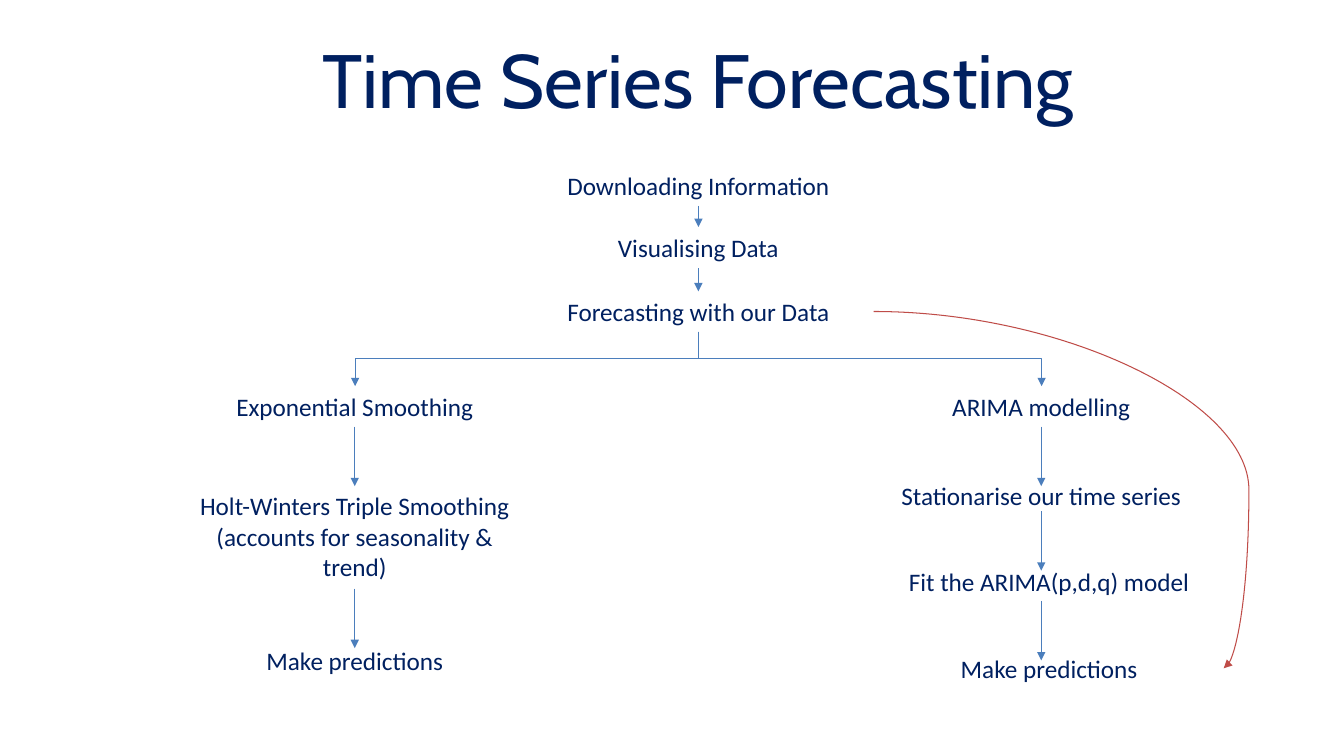
import pptx
import pptx.util
import pptx.dml.color
import pptx.enum.shapes
import pptx.enum.text
import pptx.oxml
import pptx.oxml.ns

Cm = pptx.util.Cm
Pt = pptx.util.Pt
LINK = pptx.enum.shapes.MSO_CONNECTOR
NAVY, BLUE, RED = "002060", "4B7EBC", "BF4C48"
WIDE, HIGH = 8.84, 1.02
RISE = 1.5
FRAME = {"word_wrap": True,
         "auto_size": pptx.enum.text.MSO_AUTO_SIZE.SHAPE_TO_FIT_TEXT}
FLUSH = {"margin_left": 0, "margin_right": 0, "margin_top": 0, "margin_bottom": 0}
HEAD = {"name": "Cabin", "size": Pt(54)}
BODY = {"name": "Calibri", "size": Pt(18)}


def apply(item, vals):
    """Set each named value on the item."""
    for name, val in vals.items():
        setattr(item, name, val)


def tint(color, code):
    """Give a colour format its hex colour."""
    color.rgb = pptx.dml.color.RGBColor.from_string(code)


def write(shape, text, font):
    """Fill a shape with centred navy lines."""
    frame = shape.text_frame
    apply(frame, FRAME)
    frame.text = text
    for para in frame.paragraphs:
        para.alignment = pptx.enum.text.PP_ALIGN.CENTER
        apply(para.font, font)
        tint(para.font.color, NAVY)


def arrow(slide, kind, start, end, code=BLUE):
    """Draw a thin link with an arrowhead at its end."""
    link = slide.shapes.add_connector(kind, *map(Cm, start + end))
    link.line.width = Pt(0.75)
    tint(link.line.color, code)
    line = link.line._get_or_add_ln()
    tail = pptx.oxml.parse_xml(
        f'<a:tailEnd {pptx.oxml.ns.nsdecls("a")} type="triangle"/>')
    line.append(tail)
    glow = pptx.oxml.parse_xml(f'<a:effectLst {pptx.oxml.ns.nsdecls("a")}/>')
    line.addnext(glow)
    return link


def title(slide, box):
    """Place the heading and drop the unused subtitle."""
    head, rest = slide.placeholders
    rest._element.getparent().remove(rest._element)
    apply(head, dict(zip(("left", "top", "width", "height"), map(Cm, box))))
    apply(head.text_frame, FLUSH)
    write(head, "Time Series Forecasting", HEAD)


def flow(slide, left, top, steps, links):
    """Stack steps below the top and join them with arrows."""
    for down, high, shift, text in steps:
        box = slide.shapes.add_textbox(
            Cm(left + shift), Cm(top + down), Cm(WIDE), Cm(high))
        write(box, text, BODY)
    mid = left + WIDE / 2
    for down, size in links:
        start = (mid, top + down)
        arrow(slide, LINK.STRAIGHT, start, (mid, start[1] + size))


def fork(slide, start, drop, reach):
    """Split one step into a branch on either side."""
    x, y = start
    for side, turn in ((-1, 90), (1, 270)):
        cx, cy = x + side * reach / 2, y + drop / 2
        dx, dy = -side * drop / 2, reach / 2
        link = arrow(slide, LINK.ELBOW, (cx + side * drop / 2, cy - dy),
                     (cx + dx, cy + dy))
        if side < 0:
            link = arrow_box(link, cx - drop / 2, cy - dy)
        link._element.spPr.find(pptx.oxml.ns.qn("a:xfrm")).set(
            "rot", str(turn * 60000))


def arrow_box(link, left, top):
    """Set a link's start at the top left of its box."""
    wide, high = link.width, link.height
    apply(link, {"begin_x": Cm(left), "begin_y": Cm(top)})
    apply(link, {"end_x": Cm(left) + wide, "end_y": Cm(top) + high})
    return link


def sweep(slide, start, end, bend):
    """Curve from one step round to a later one."""
    link = arrow(slide, LINK.CURVE, start, end, RED)
    geom = link._element.spPr.find(pptx.oxml.ns.qn("a:prstGeom"))
    for old in list(geom):
        geom.remove(old)
    geom.append(pptx.oxml.parse_xml(
        f'<a:avLst {pptx.oxml.ns.nsdecls("a")}>'
        f'<a:gd name="adj1" fmla="val {bend}"/></a:avLst>'))


def main():
    """Build and save the slide."""
    deck = pptx.Presentation()
    apply(deck, {"slide_width": Cm(33.87), "slide_height": Cm(19.05)})
    slide = deck.slides.add_slide(deck.slide_layouts[0])
    title(slide, (3.2, 0.81, 28.78, 2.31))
    flow(slide, 13.18, 4.17,
         [(0, HIGH, 0, "Downloading Information"),
          (1.55, HIGH, 0, "Visualising Data"),
          (3.17, HIGH, 0, "Forecasting with our Data")],
         [(1.02, 0.53), (2.59, 0.58)])
    flow(slide, 4.52, 9.73,
         [(0, HIGH, 0, "Exponential Smoothing"),
          (2.51, 2.57, 0, "Holt-Winters Triple Smoothing\n"
           "(accounts for seasonality & trend)"),
          (6.4, HIGH, 0, "Make predictions")],
         [(1.02, RISE), (5.1, RISE)])
    flow(slide, 21.82, 9.73,
         [(0, HIGH, 0, "ARIMA modelling"),
          (2.26, HIGH, 0, "Stationarise our time series"),
          (4.42, HIGH, 0.2, "Fit the ARIMA(p,d,q) model"),
          (6.6, HIGH, 0.2, "Make predictions")],
         [(1.02, RISE), (3.15, RISE), (5.41, RISE)])
    fork(slide, (17.6, 8.36), 1.37, 8.65)
    sweep(slide, (22.02, 7.85), (30.84, 16.84), 107200)
    deck.save("out.pptx")


if __name__ == "__main__":
    main()
